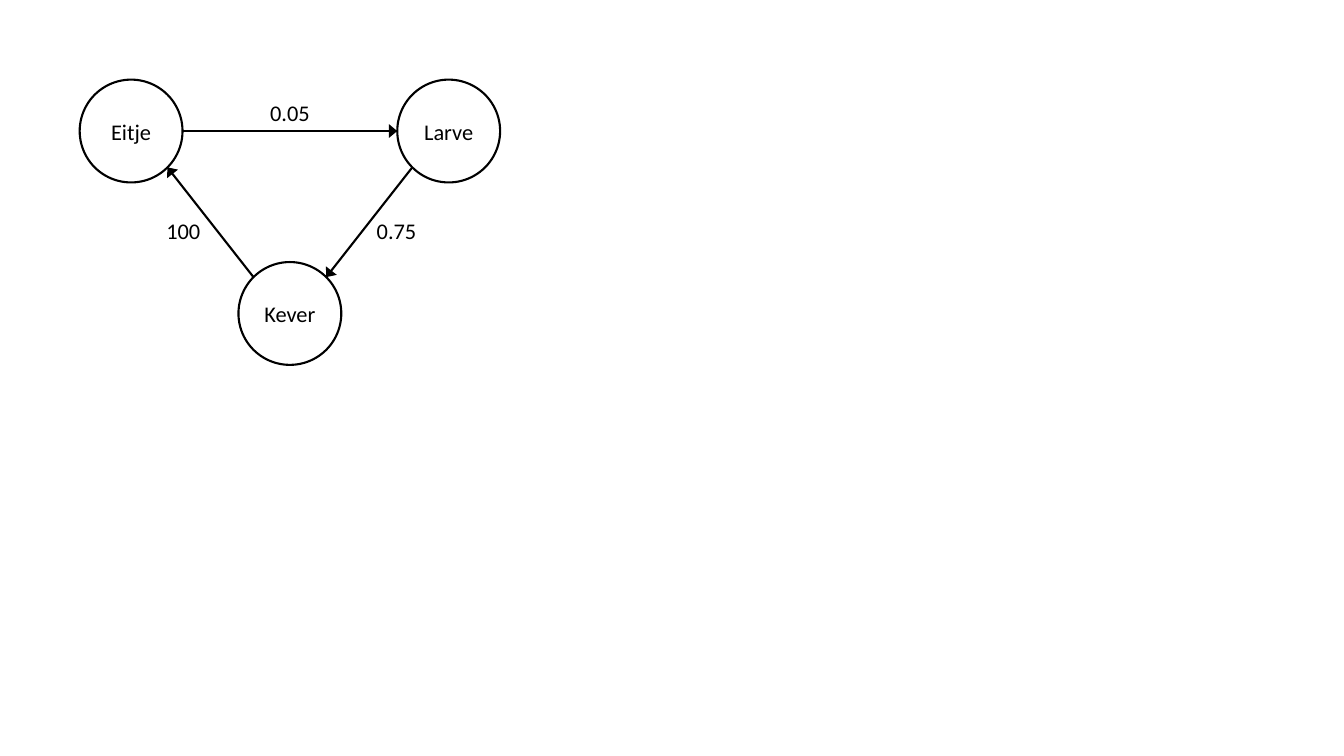
"""Build a slide with the life cycle of a beetle as a transition graph."""
import math

import pptx
import pptx.dml.color
import pptx.enum.shapes
import pptx.enum.text
import pptx.oxml
import pptx.oxml.ns
import pptx.util

COLORS = {"ink": "000000"}
INK = pptx.dml.color.RGBColor.from_string(COLORS["ink"])
Inches = pptx.util.Inches

COLUMN, ROW = 3.15 / 2, 1.81
LEFT, TOP = 1.3, 1.3
RADIUS = 0.51
LABEL_WIDTH, LABEL_HEIGHT = 0.79, 0.39


def write_text(box, text, size=16, font="Calibri", wrap=True,
               anchor=pptx.enum.text.MSO_ANCHOR.MIDDLE):
    frame = box.text_frame
    frame.word_wrap = wrap
    frame.vertical_anchor = anchor
    para = frame.paragraphs[0]
    para.alignment = pptx.enum.text.PP_ALIGN.CENTER
    span = para.add_run()
    span.text = text
    span.font.size = pptx.util.Pt(size)
    span.font.name = font
    span.font.color.rgb = INK


def draw_line(shape, width=1.5):
    shape.line.color.rgb = INK
    shape.line.width = pptx.util.Pt(width)


deck = pptx.Presentation()
deck.slide_width, deck.slide_height = Inches(13.33), Inches(7.5)
page = deck.slides.add_slide(deck.slide_layouts[6])

stages = {"Eitje": (0, 0), "Larve": (2, 0), "Kever": (1, 1)}
centers = {name: (LEFT + column * COLUMN, TOP + row * ROW)
           for name, (column, row) in stages.items()}

for name, (x, y) in centers.items():
    circle = page.shapes.add_shape(
        pptx.enum.shapes.MSO_SHAPE.OVAL,
        Inches(x - RADIUS), Inches(y - RADIUS), Inches(2 * RADIUS), Inches(2 * RADIUS))
    circle.shadow.inherit = False
    circle.fill.background()
    draw_line(circle)
    write_text(circle, name)

transitions = [
    ("Eitje", 0, "Larve", 180, "0.05", (0, -0.17)),
    ("Larve", 135, "Kever", -45, "0.75", (0.27, 0.09)),
    ("Kever", -135, "Eitje", 45, "100", (-0.27, 0.09)),
]
namespace = pptx.oxml.ns.nsdecls("a")
for source, leave, target, arrive, rate, (shift_x, shift_y) in transitions:
    ends = []
    for name, angle in ((source, leave), (target, arrive)):
        x, y = centers[name]
        ends += [x + RADIUS * math.cos(math.radians(angle)),
                 y + RADIUS * math.sin(math.radians(angle))]
    arrow = page.shapes.add_connector(
        pptx.enum.shapes.MSO_CONNECTOR.STRAIGHT, *[Inches(end) for end in ends])
    draw_line(arrow)
    outline = arrow._element.spPr.find(pptx.oxml.ns.qn("a:ln"))
    outline.append(pptx.oxml.parse_xml(
        f'<a:tailEnd {namespace} type="triangle" w="lg" len="med"/>'))
    arrow._element.spPr.append(pptx.oxml.parse_xml(f"<a:effectLst {namespace}/>"))

    middle_x, middle_y = (ends[0] + ends[2]) / 2, (ends[1] + ends[3]) / 2
    label = page.shapes.add_textbox(
        Inches(middle_x + shift_x - LABEL_WIDTH / 2),
        Inches(middle_y + shift_y - LABEL_HEIGHT / 2),
        Inches(LABEL_WIDTH), Inches(LABEL_HEIGHT))
    write_text(label, rate, wrap=False, anchor=pptx.enum.text.MSO_ANCHOR.TOP)
    label.text_frame.auto_size = pptx.enum.text.MSO_AUTO_SIZE.SHAPE_TO_FIT_TEXT

deck.save("out.pptx")
